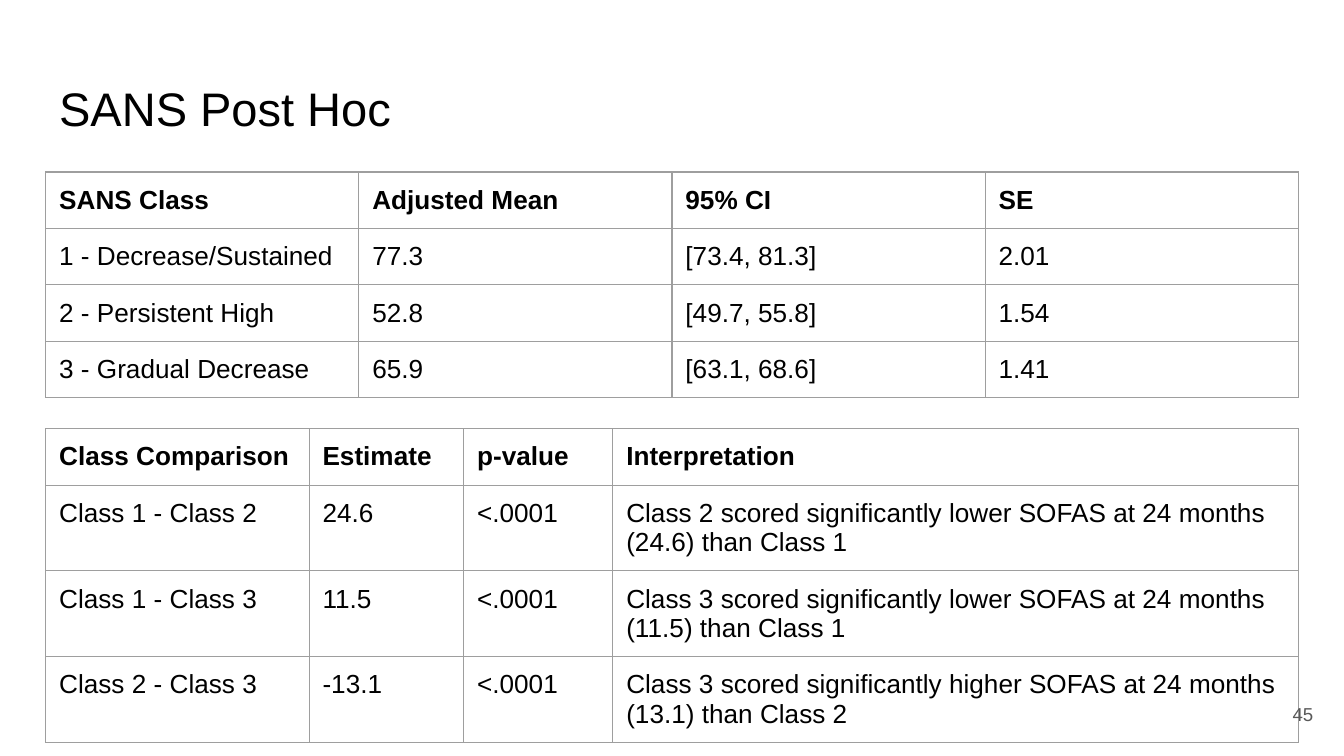
import pptx
import pptx.dml.color
import pptx.enum.text
import pptx.oxml
import pptx.oxml.ns
import pptx.util
from pptx.util import Inches

TITLE = "SANS Post Hoc"
PAGE = "45"
MEANS = [
    ("SANS Class", "Adjusted Mean", "95% CI", "SE"),
    ("1 - Decrease/Sustained", "77.3", "[73.4, 81.3]", "2.01"),
    ("2 - Persistent High", "52.8", "[49.7, 55.8]", "1.54"),
    ("3 - Gradual Decrease", "65.9", "[63.1, 68.6]", "1.41"),
]
PAIRS = [
    ("Class Comparison", "Estimate", "p-value", "Interpretation"),
    ("Class 1 - Class 2", "24.6", "<.0001",
     "Class 2 scored significantly lower SOFAS at 24 months (24.6) than Class 1"),
    ("Class 1 - Class 3", "11.5", "<.0001",
     "Class 3 scored significantly lower SOFAS at 24 months (11.5) than Class 1"),
    ("Class 2 - Class 3", "-13.1", "<.0001",
     "Class 3 scored significantly higher SOFAS at 24 months (13.1) than Class 2"),
]
COLORS = {"ink": "000000", "page": "595959", "rule": "9E9E9E"}
LEFT, WIDTH, ROW, PAD = 0.34, 9.32, 0.42, 0.1
ANCHOR = pptx.enum.text.MSO_ANCHOR
ALIGN = pptx.enum.text.PP_ALIGN


def write(frame, text, size=14, color="ink", bold=False, align=ALIGN.LEFT):
    frame.text = text
    para = frame.paragraphs[0]
    para.alignment = align
    font = para.runs[0].font
    font.name, font.size, font.bold = "Arial", pptx.util.Pt(size), bold
    font.color.rgb = pptx.dml.color.RGBColor.from_string(COLORS[color])


def pad(item):
    item.margin_left = item.margin_right = Inches(PAD)
    item.margin_top = item.margin_bottom = Inches(PAD)


def rule(cell):
    """Draw a thin line on all four sides of a cell."""
    props = cell._tc.get_or_add_tcPr()
    for i, side in enumerate("LRTB"):
        props.insert(i, pptx.oxml.parse_xml(
            f'<a:ln{side} {pptx.oxml.ns.nsdecls("a")} w="{pptx.util.Pt(0.75)}">'
            f'<a:solidFill><a:srgbClr val="{COLORS["rule"]}"/></a:solidFill>'
            f'</a:ln{side}>'))


def add_grid(slide, rows, top, widths):
    grid = slide.shapes.add_table(
        len(rows), len(widths), Inches(LEFT), Inches(top),
        Inches(sum(widths)), Inches(ROW * len(rows))).table
    grid.horz_banding = False
    for col, width in zip(grid.columns, widths):
        col.width = Inches(width)
    for r, row in enumerate(rows):
        grid.rows[r].height = Inches(ROW)
        for c, text in enumerate(row):
            cell = grid.cell(r, c)
            cell.fill.background()
            pad(cell)
            rule(cell)
            write(cell.text_frame, text, bold=r == 0)


def main():
    deck = pptx.Presentation()
    deck.slide_width, deck.slide_height = Inches(10), Inches(10 * 9 / 16)
    slide = deck.slides.add_slide(deck.slide_layouts[5])

    title = slide.shapes.title
    title.left, title.top = Inches(LEFT), Inches(0.49)
    title.width, title.height = Inches(WIDTH), Inches(0.63)
    frame = title.text_frame
    pad(frame)
    frame.vertical_anchor = ANCHOR.TOP
    frame.auto_size = pptx.enum.text.MSO_AUTO_SIZE.NONE
    write(frame, TITLE, size=25.2)

    add_grid(slide, MEANS, 1.28, [WIDTH / 4] * 4)
    add_grid(slide, PAIRS, 3.19, [1.96, 1.15, 1.11, 5.1])

    frame = slide.shapes.add_textbox(
        Inches(9.27), Inches(5.1), Inches(0.6), Inches(0.43)).text_frame
    pad(frame)
    frame.word_wrap = True
    frame.vertical_anchor = ANCHOR.MIDDLE
    write(frame, PAGE, size=10, color="page", align=ALIGN.RIGHT)

    deck.save("out.pptx")


if __name__ == "__main__":
    main()
